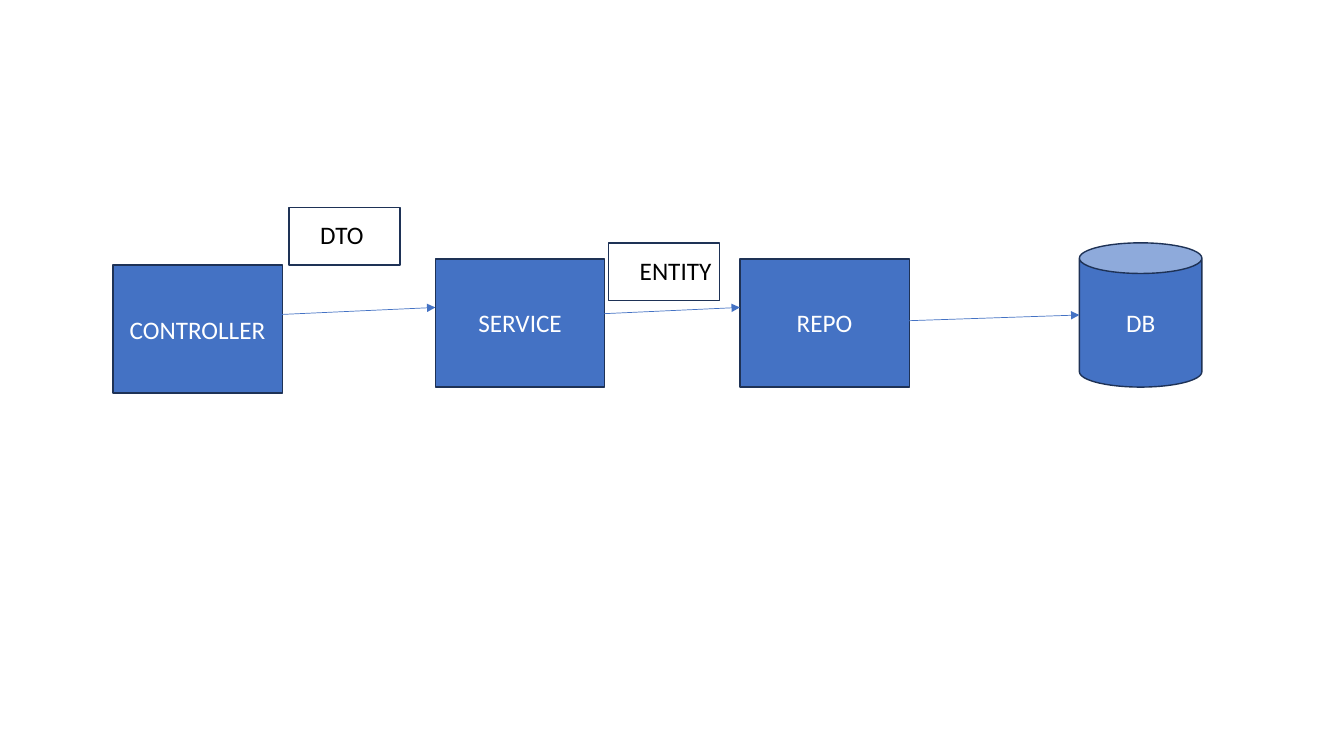
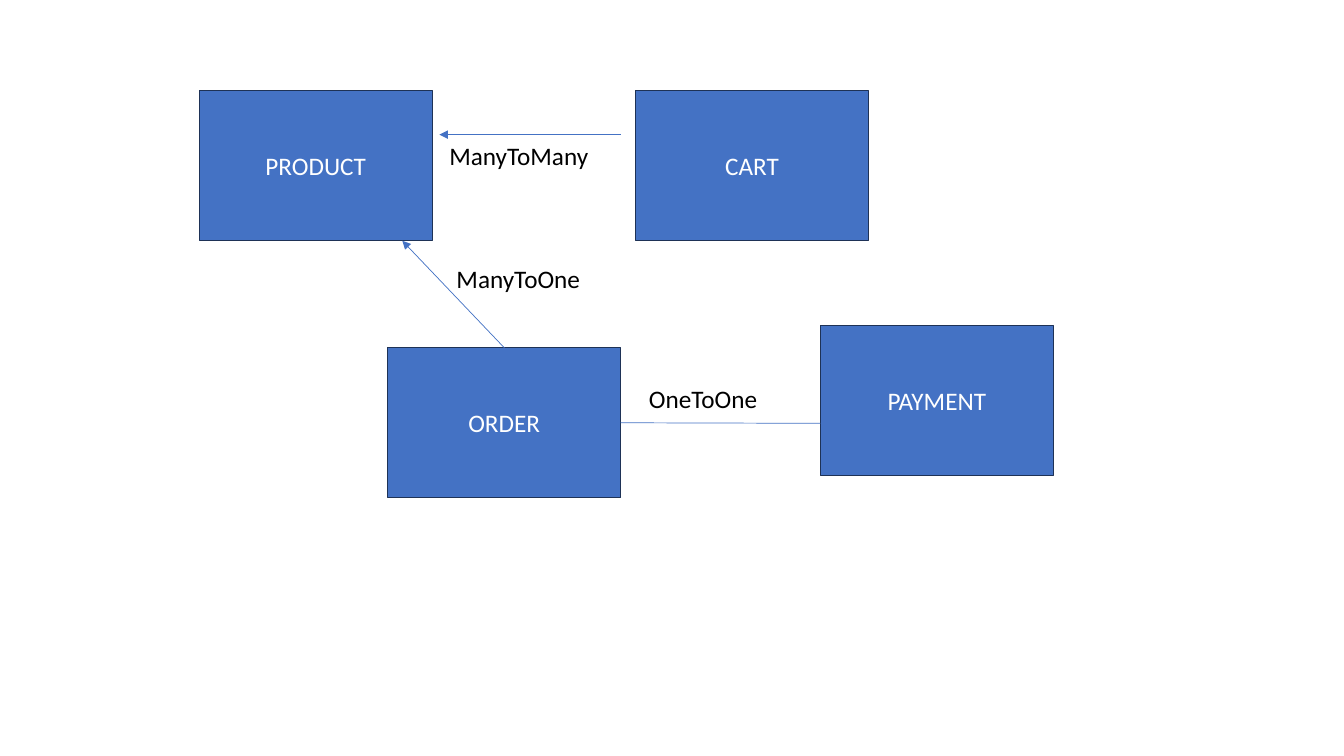
import pptx
import pptx.util
import pptx.dml.color
import pptx.enum.shapes
import pptx.enum.text
import pptx.oxml.ns
import lxml.etree

Pt = pptx.util.Pt
RGBColor = pptx.dml.color.RGBColor
Kind = pptx.enum.shapes.MSO_SHAPE
Align = pptx.enum.text.PP_ALIGN
Anchor = pptx.enum.text.MSO_ANCHOR
qn = pptx.oxml.ns.qn

BLUE = RGBColor(0x44, 0x72, 0xC4)
NAVY = RGBColor(0x1E, 0x32, 0x56)
WHITE = RGBColor(0xFF, 0xFF, 0xFF)
BLACK = RGBColor(0x00, 0x00, 0x00)
TOP, LEFT, RIGHT = 0, 1, 3


def add_text(slide, text, left, top, width, height, kind=None, fill=None,
             color=BLACK, align=Align.LEFT, anchor=Anchor.TOP):
    place = Pt(left), Pt(top), Pt(width), Pt(height)
    if kind is None:
        item = slide.shapes.add_textbox(*place)
    else:
        item = slide.shapes.add_shape(kind, *place)
        item.shadow.inherit = False
        item.line.color.rgb = NAVY
        item.line.width = Pt(1)
        if fill is None:
            item.fill.background()
        else:
            item.fill.solid()
            item.fill.fore_color.rgb = fill
    if text:
        frame = item.text_frame
        frame.word_wrap = True
        frame.vertical_anchor = anchor
        paragraph = frame.paragraphs[0]
        paragraph.alignment = align
        run = paragraph.add_run()
        run.text = text
        run.font.name = "Calibri"
        run.font.size = Pt(18)
        run.font.color.rgb = color
    return item


def add_link(slide, start, end, arrow=True):
    link = slide.shapes.add_connector(
        pptx.enum.shapes.MSO_CONNECTOR.STRAIGHT, *map(Pt, start + end))
    link.line.color.rgb = BLUE
    link.line.width = Pt(0.5)
    if arrow:
        lxml.etree.SubElement(link.line._get_or_add_ln(), qn("a:tailEnd"), type="triangle")
    lxml.etree.SubElement(link._element.spPr, qn("a:effectLst"))
    return link


deck = pptx.Presentation()
deck.slide_width, deck.slide_height = Pt(960), Pt(540)
blank = deck.slide_layouts[6]
node = dict(fill=BLUE, color=WHITE, align=Align.CENTER, anchor=Anchor.MIDDLE)

layers = deck.slides.add_slide(blank)
add_text(layers, "DB", 771, 173.5, 87.5, 103, kind=Kind.CAN, **node)
for layer, left, top in [("REPO", 528.5, 185), ("SERVICE", 311, 185), ("CONTROLLER", 80.6, 189.4)]:
    add_text(layers, layer, left, top, 121, 91.4, kind=Kind.RECTANGLE, **node)
for start, end in [((201.6, 224.6), (311, 219.6)),
                   ((419.8, 224.6), (528.5, 219.6)),
                   ((636.5, 229.5), (771, 225))]:
    add_link(layers, start, end)
for payload, left, top in [("DTO", 206.6, 148.3), ("ENTITY", 434.9, 173.5)]:
    add_text(layers, "", left, top, 79.2, 41, kind=Kind.RECTANGLE)
    add_text(layers, payload, left + 15, top + 5, 75, 29)

entities = deck.slides.add_slide(blank)
boxes = {}
for entity, left, top in [("CART", 454, 64.8), ("ORDER", 277, 248.4),
                          ("PAYMENT", 586, 232.4), ("PRODUCT", 142.4, 64.8)]:
    boxes[entity] = add_text(entities, entity, left, top, 166.4, 107.2,
                             kind=Kind.RECTANGLE, **node)

order_payment = add_link(entities, (443.4, 302), (586, 302.4), arrow=False)
order_payment.begin_connect(boxes["ORDER"], RIGHT)
add_link(entities, (443.4, 96.2), (313.9, 96.2))
order_product = add_link(entities, (360.2, 248.4), (287.4, 172))
order_product.begin_connect(boxes["ORDER"], TOP)

for relation, left, top, width in [("OneToOne", 456.5, 270, 119.5),
                                   ("ManyToMany", 313.9, 96.5, 129.6),
                                   ("ManyToOne", 319, 184.5, 129.6)]:
    add_text(entities, relation, left, top, width, 29)

deck.save("out.pptx")
